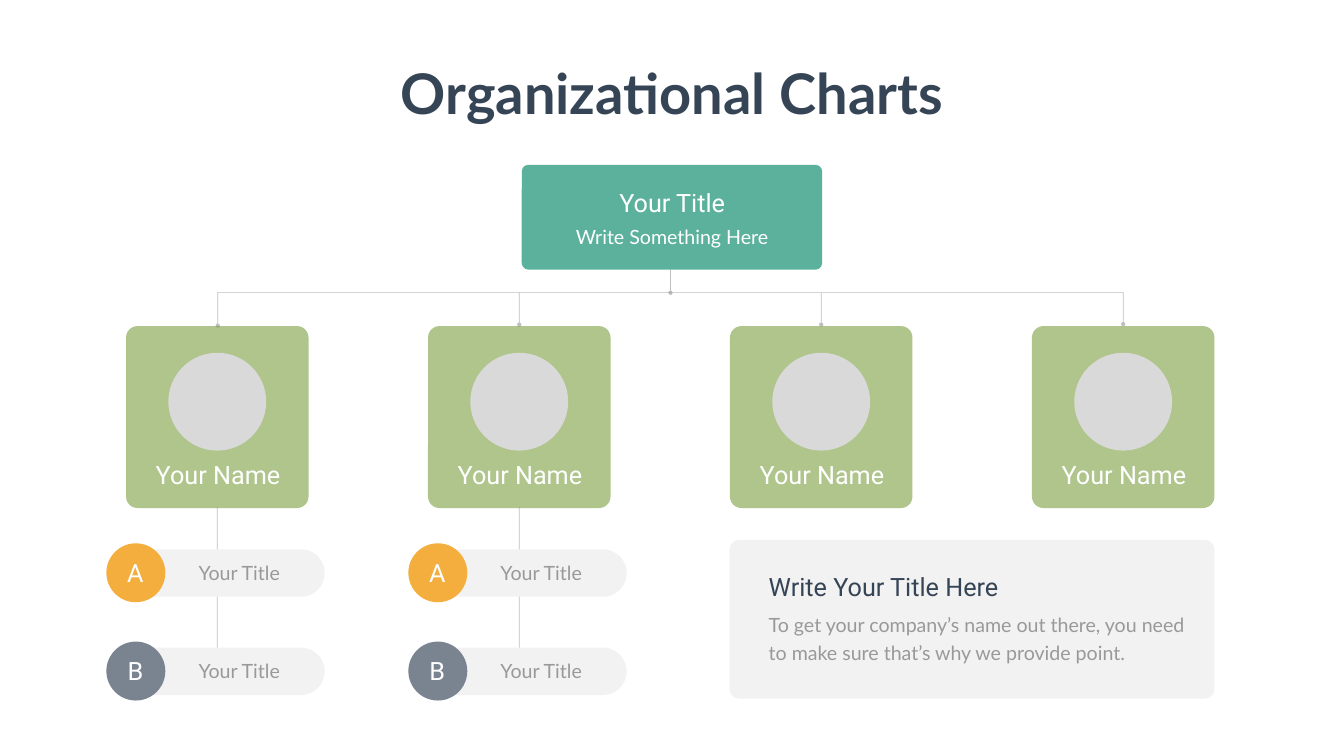
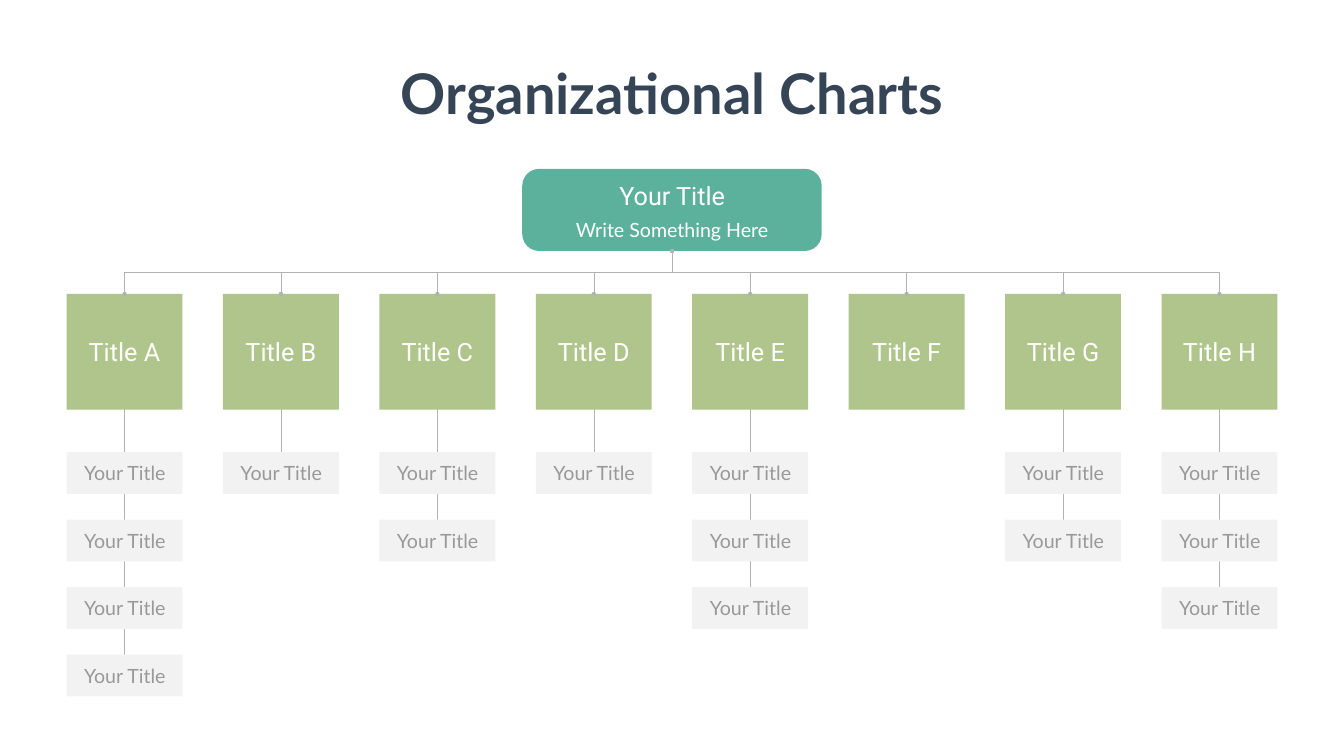
from lxml import etree
from pptx import Presentation
from pptx import util as u
from pptx.dml.color import RGBColor
from pptx.enum import shapes, text
from pptx.oxml.ns import qn

NAVY = RGBColor(0x36, 0x45, 0x56)
TEAL = RGBColor(0x5C, 0xB1, 0x9D)
GREEN = RGBColor(0xAF, 0xC5, 0x8B)
AMBER = RGBColor(0xF3, 0xAE, 0x3E)
SLATE = RGBColor(0x7A, 0x84, 0x91)
PALE = RGBColor(0xF2, 0xF2, 0xF2)
DISC = RGBColor(0xD9, 0xD9, 0xD9)
MID = RGBColor(0x80, 0x80, 0x80)
RULE = RGBColor(0xB2, 0xB2, 0xB2)
TEXT = RGBColor(0x99, 0x99, 0x99)
WHITE = RGBColor(0xFF, 0xFF, 0xFF)

HEAD = "Roboto"
BODY = "Lato"
RECT = shapes.MSO_SHAPE.RECTANGLE
ROUND = shapes.MSO_SHAPE.ROUNDED_RECTANGLE
OVAL = shapes.MSO_SHAPE.OVAL
LINK = shapes.MSO_CONNECTOR
LEFT = text.PP_ALIGN.LEFT
CENTER = text.PP_ALIGN.CENTER


def fade(part, share):
    tint = next(part.iter(qn("a:srgbClr")))
    etree.SubElement(tint, qn("a:alpha"), val=str(share * 1000))


class Deck:
    def __init__(self):
        self.file = Presentation()
        self.file.slide_width = u.Inches(26.66)
        self.file.slide_height = u.Inches(15)

    def start(self, title, ink, width, alpha=None):
        self.slide = self.file.slides.add_slide(self.file.slide_layouts[5])
        self.ink, self.width, self.alpha = ink, width, alpha
        box = self.slide.shapes.title
        self.place(box, 7.7, 1.12, 11.26, 1.45)
        self.letter(box, title, BODY, 80, NAVY, CENTER, bold=True)
        box.text_frame.word_wrap = False

    def place(self, box, x, y, w, h):
        box.left, box.top = u.Inches(x), u.Inches(y)
        box.width, box.height = u.Inches(w), u.Inches(h)

    def letter(self, box, words, font, size, color, align, lead=None, bold=False):
        frame = box.text_frame
        frame.text = words
        frame.word_wrap = True
        frame.auto_size = text.MSO_AUTO_SIZE.NONE
        frame.vertical_anchor = text.MSO_ANCHOR.TOP
        para = frame.paragraphs[0]
        para.alignment = align
        if lead:
            para.line_spacing = u.Pt(lead)
        para.font.name, para.font.size = font, u.Pt(size)
        para.font.bold, para.font.color.rgb = bold, color

    def label(self, words, x, y, w, h, font, size, color, align=CENTER, lead=None):
        box = self.slide.shapes.add_textbox(*map(u.Inches, (x, y, w, h)))
        self.letter(box, words, font, size, color, align, lead)

    def head(self, words, x, y, w, color=WHITE, align=CENTER):
        self.label(words, x, y, w, 0.71, HEAD, 36, color, align)

    def item(self, x, y):
        self.label("Your Title", x, y, 2.65, 0.57, BODY, 28, TEXT)

    def shape(self, kind, x, y, w, h, color, bend=None, alpha=None):
        box = self.slide.shapes.add_shape(kind, *map(u.Inches, (x, y, w, h)))
        box.shadow.inherit = False
        box.fill.solid()
        box.fill.fore_color.rgb = color
        box.line.fill.background()
        if bend is not None:
            box.adjustments[0] = bend
        if alpha:
            fade(box.element.spPr, alpha)

    def trace(self, link, start, end):
        link.line.color.rgb = self.ink
        link.line.width = u.Pt(self.width)
        props = link.element.spPr
        line = props.find(qn("a:ln"))
        if self.alpha:
            fade(line, self.alpha)
        for tag, on in (("a:headEnd", start), ("a:tailEnd", end)):
            if on:
                etree.SubElement(line, qn(tag), type="oval")
        etree.SubElement(props, qn("a:effectLst"))

    def stem(self, x, top, foot, dot=False):
        link = self.slide.shapes.add_connector(
            LINK.STRAIGHT, *map(u.Inches, (x, top, x, foot)))
        self.trace(link, False, dot)

    def elbow(self, x0, y0, x1, y1, bar):
        cx, cy = (x0 + x1) / 2, (y0 + y1) / 2
        dx, dy = (x1 - x0) / 2, (y1 - y0) / 2
        ends = cx - dy, cy + dx, cx + dy, cy - dx
        link = self.slide.shapes.add_connector(LINK.ELBOW, *map(u.Inches, ends))
        props = link.element.spPr
        props.find(qn("a:xfrm")).set("rot", "5400000")
        turn = round((bar - y0) / (y1 - y0) * 100000)
        geom = props.find(qn("a:prstGeom"))
        guides = geom.find(qn("a:avLst"))
        if guides is None:
            guides = etree.SubElement(geom, qn("a:avLst"))
        etree.SubElement(guides, qn("a:gd"), name="adj1", fmla=f"val {turn}")
        self.trace(link, True, True)

    def chief(self, x, y, w, h, bend, top):
        self.shape(ROUND, x, y, w, h, TEAL, bend)
        self.label("Write Something Here", 10.86, top + 0.65, 4.94, 0.62,
                   BODY, 28, WHITE, lead=40.8)
        self.head("Your Title", 11.27, top, 4.13)


def team(deck):
    deck.start("Organizational Charts", MID, 1, 50)
    cards = [2.5 + 5.99 * i for i in range(4)]
    for x in cards:
        deck.shape(ROUND, x, 6.47, 3.62, 3.61, GREEN, 0.063)
        deck.shape(OVAL, x + 0.84, 7, 1.94, 1.94, DISC)
        deck.head("Your Name", x - 0.24, 9.07, 4.13)
    for x in cards[:2]:
        deck.stem(x + 1.81, 10.06, 13.49)
        for mark, y, color in (("A", 10.78, AMBER), ("B", 12.73, SLATE)):
            deck.shape(ROUND, x, y + 0.12, 3.94, 0.94, PALE, 0.5)
            deck.shape(OVAL, x - 0.39, y, 1.17, 1.17, color)
            deck.item(x + 0.92, y + 0.3)
            deck.head(mark, x - 0.36, y + 0.23, 1.09)
    deck.elbow(4.32, 6.46, 22.28, 6.43, 5.8)
    deck.stem(13.3, 5.35, 5.81, True)
    for x in cards[1:3]:
        deck.stem(x + 1.81, 5.81, 6.44, True)
    deck.chief(10.35, 3.27, 5.96, 2.08, 0.063, 3.67)
    deck.shape(ROUND, 14.47, 10.71, 9.62, 3.15, MID, 0.063, 10)
    deck.label("To get your company’s name out there, you need to make sure "
               "that’s why we provide point.", 15.15, 12.01, 8.67, 1.19,
               BODY, 28, TEXT, LEFT, 40.8)
    deck.head("Write Your Title Here", 15.15, 11.29, 5.72, NAVY, LEFT)


def units(deck):
    deck.start("Organizational Charts", RULE, 0.5)
    counts = 4, 1, 2, 1, 3, 0, 2, 3
    side, first, last = 2.3, 1.32, 23.04
    step = (last - first) / (len(counts) - 1)
    for i, (mark, count) in enumerate(zip("ABCDEFGH", counts)):
        x = first + step * i
        mid = x + side / 2
        rows = [8.97 + 1.34 * row for row in range(count)]
        if rows:
            deck.stem(mid, 8.12, rows[-1])
        deck.shape(RECT, x, 5.83, side, side, GREEN)
        deck.head(f"Title {mark}", x, 6.62, side)
        for y in rows:
            deck.shape(RECT, x, y, side, 0.83, PALE)
            deck.item(x - 0.17, y + 0.13)
        if 0 < i < len(counts) - 1:
            deck.stem(mid, 5.42, 5.83, True)
    deck.chief(10.36, 3.35, 5.94, 1.63, 0.206, 3.53)
    for x in (first, last):
        deck.elbow(13.33, 4.98, x + side / 2, 5.83, 5.41)


def main():
    deck = Deck()
    team(deck)
    units(deck)
    deck.file.save("out.pptx")


if __name__ == "__main__":
    main()
